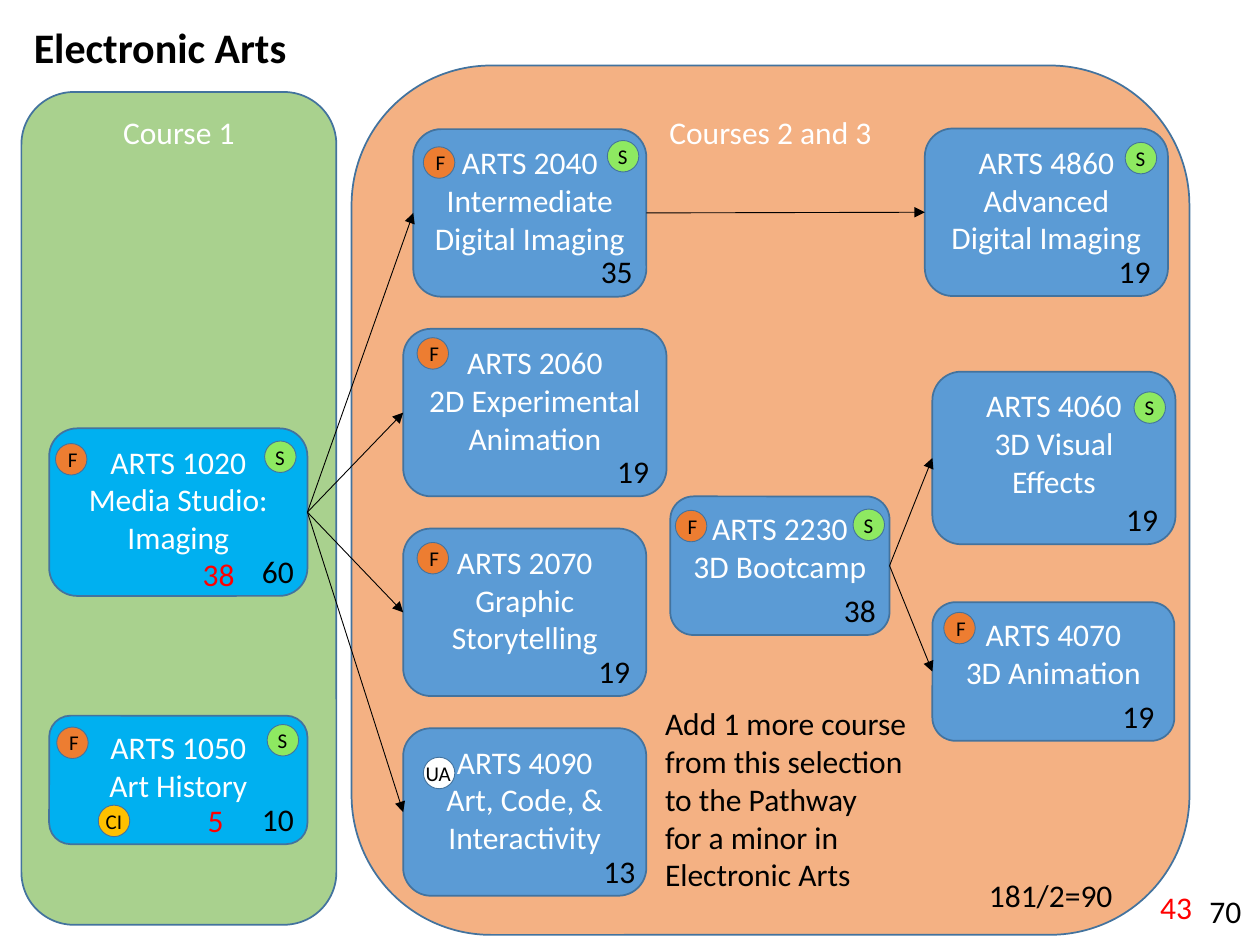
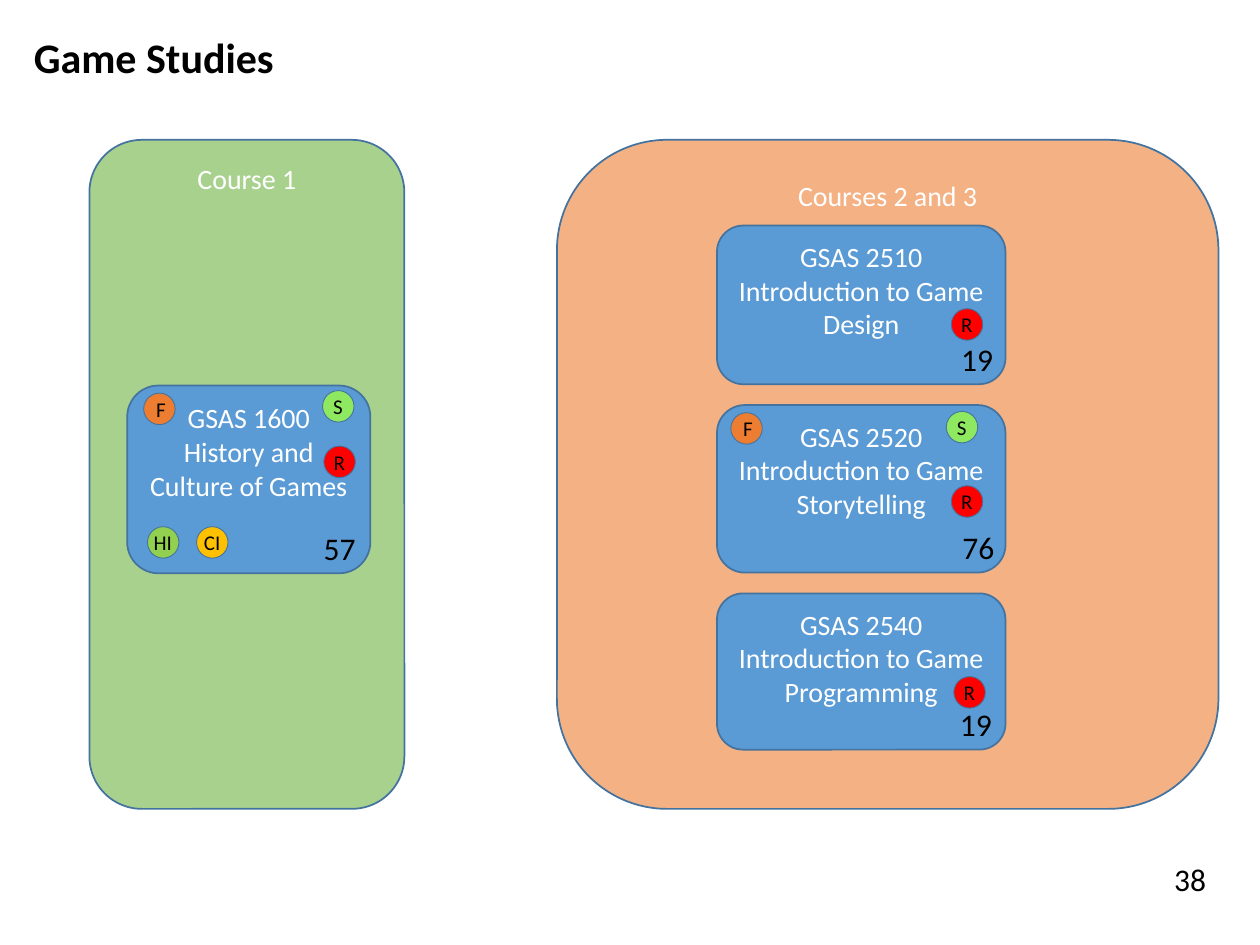
from itertools import accumulate

from lxml import etree
from pptx import Presentation
from pptx.dml.color import RGBColor
from pptx.enum.shapes import MSO_CONNECTOR, MSO_SHAPE
from pptx.enum.text import MSO_ANCHOR, MSO_AUTO_SIZE, PP_ALIGN
from pptx.oxml.ns import qn
from pptx.util import Inches, Pt

ROUNDED, OVAL = MSO_SHAPE.ROUNDED_RECTANGLE, MSO_SHAPE.OVAL
STRAIGHT = MSO_CONNECTOR.STRAIGHT
LEFT, CENTER = PP_ALIGN.LEFT, PP_ALIGN.CENTER
TOP = MSO_ANCHOR.TOP
FIT, FIXED = MSO_AUTO_SIZE.SHAPE_TO_FIT_TEXT, MSO_AUTO_SIZE.NONE
LEFT_SIDE, RIGHT_SIDE = 1, 3

FONT = "Calibri"
COLORS = {
    "first": "A9D18E", "later": "F4B183", "course": "5B9BD5", "required": "00B0F0",
    "outline": "43739E", "white": "FFFFFF", "black": "000000", "red": "FF0000",
    "F": "ED7D31", "S": "8EE961", "CI": "FFC000", "HI": "92D050", "R": "FF0000", "UA": "FFFFFF",
}

SLIDE_WIDTH, SLIDE_HEIGHT = Inches(10), Inches(7.5)
COLUMNS = 100
CELL = SLIDE_WIDTH / COLUMNS
BADGE_SIZE = 2.5
LABEL_HEIGHT = 3
LABEL_WIDTHS = {"F": 2.8, "S": 2.8, "CI": 3.3, "HI": 3.5, "R": 2.9, "UA": 4.1}
LABEL_SHIFTS = {"F": 0.15}
COUNT_WIDTH, COUNT_HEIGHT = 4.6, 4

ARTS_ROWS = [10.25 + 15.85 * row for row in range(4)]
GAME_HEIGHTS = [12.6, 13.3, 12.4]
GAME_GAP = 1.65
GAME_ROWS = list(accumulate((height + GAME_GAP for height in GAME_HEIGHTS[:-1]), initial=17.9))

PATHWAYS = [
    {
        "title": ("Electronic Arts", (1.7, 1.2, 22.3, 5)),
        "text_size": 18,
        "panels": [
            ("Courses 2 and 3", "later", (27.9, 5.2, 66.5, 69)),
            ("Course 1", "first", (1.7, 7.3, 25, 66.1)),
        ],
        "courses": [
            ("ARTS 2060", "2D Experimental Animation", "course", (32, ARTS_ROWS[1], 20.9, 13.3),
             "19", -0.3, [("F", 1.1, 0.7)]),
            ("ARTS 2070", "Graphic Storytelling", "course", (32, ARTS_ROWS[2], 19.3, 13.3),
             "19", -0.2, [("F", 1.1, 1.1)]),
            ("ARTS 4060", "3D Visual Effects", "course", (74, 29.5, 19.3, 13.7),
             "19", -0.3, [("S", 16, 1.6)]),
            ("ARTS 2230", "3D Bootcamp", "course", (53.2, 39.4, 17.4, 11),
             "38", 0, [("F", 0.4, 1.1), ("S", 14.5, 1)]),
            ("ARTS 4070", "3D Animation", "course", (74, 47.8, 19.2, 11),
             "19", -0.5, [("F", 0.9, 0.8)]),
            ("ARTS 4860", "Advanced Digital Imaging", "course", (73.4, 10.2, 19.3, 13.3),
             "19", -0.3, [("S", 15.9, 1.1)]),
            ("ARTS 4090", "Art, Code, & Interactivity", "course", (32, ARTS_ROWS[3], 19.3, 13.3),
             "13", 0.2, [("UA", 1.6, 2.3)]),
            ("ARTS 2040", "Intermediate Digital Imaging", "course", (32.8, ARTS_ROWS[0], 18.5, 13.3),
             "35", 0, [("F", 0.8, 1.4), ("S", 15.4, 0.9)]),
            ("ARTS 1020", "Media Studio: Imaging", "required", (3.9, 34, 20.5, 13.3),
             "60", 0, [("F", 0.5, 1.2), ("S", 17.1, 1)]),
            ("ARTS 1050", "Art History", "required", (3.9, 56.8, 20.5, 10.2),
             "10", 0, [("F", 0.6, 0.9), ("S", 17.3, 0.7), ("CI", 3.9, 7.1)]),
        ],
        "links": [
            ("ARTS 1020", "ARTS 2040"), ("ARTS 1020", "ARTS 2060"),
            ("ARTS 1020", "ARTS 2070"), ("ARTS 1020", "ARTS 4090"),
            ("ARTS 2040", "ARTS 4860"),
            ("ARTS 2230", "ARTS 4060"), ("ARTS 2230", "ARTS 4070"),
        ],
        "notes": [
            (["Add 1 more course", "from this selection", "to the Pathway",
              "for a minor in", "Electronic Arts"], "black", (51.8, 55.4, 21.7, 16.2)),
            (["181/2=90"], "black", (77.5, 69, 11.9, 4)),
            (["70"], "black", (95, 70.3, 4.6, 4)),
            (["43"], "red", (91.1, 70, 4.5, 4)),
            (["38"], "red", (15.1, 43.6, 4.5, 4)),
            (["5"], "red", (15.5, 63.1, 3.3, 4)),
        ],
    },
    {
        "title": ("Game Studies", (1.7, 2, 21.1, 5)),
        "text_size": 16,
        "panels": [
            ("Courses 2 and 3", "later", (44.2, 11.1, 52.5, 53.1)),
            ("Course 1", "first", (7.1, 11.1, 25, 53.1)),
        ],
        "courses": [
            ("GSAS 1600", "History and Culture of Games", "course", (10.1, 30.6, 19.3, 14.9),
             "57", -0.1, [("HI", 1.6, 11.2), ("CI", 5.5, 11.2), ("R", 15.6, 4.8),
                          ("F", 1.3, 0.6), ("S", 15.5, 0.4)]),
            ("GSAS 2510", "Introduction to Game Design", "course",
             (56.9, GAME_ROWS[0], 22.9, GAME_HEIGHTS[0]), "19", 0.1, [("R", 18.6, 6.6)]),
            ("GSAS 2520", "Introduction to Game Storytelling", "course",
             (56.9, GAME_ROWS[1], 22.9, GAME_HEIGHTS[1]), "76", 0.2,
             [("R", 18.6, 6.4), ("F", 1.1, 0.6), ("S", 18.2, 0.5)]),
            ("GSAS 2540", "Introduction to Game Programming", "course",
             (56.9, GAME_ROWS[2], 22.9, GAME_HEIGHTS[2]), "19", 0, [("R", 18.8, 6.6)]),
        ],
        "links": [],
        "notes": [(["38"], "black", (92.2, 67.8, 4.6, 4))],
    },
]


def cells(*lengths):
    return [round(length * CELL) for length in lengths]


def rgb(name):
    return RGBColor.from_string(COLORS[name])


def write(frame, lines, size, color, align=LEFT, bold=False):
    frame.vertical_anchor = TOP
    for index, line in enumerate(lines):
        paragraph = frame.paragraphs[0] if index == 0 else frame.add_paragraph()
        paragraph.alignment = align
        run = paragraph.add_run()
        run.text = line
        run.font.name = FONT
        run.font.size = Pt(size)
        run.font.bold = bold
        run.font.color.rgb = rgb(color)


def add_label(shapes, lines, box, size=18, color="black", bold=False):
    frame = shapes.add_textbox(*cells(*box)).text_frame
    frame.word_wrap = False
    frame.auto_size = FIT
    write(frame, lines, size, color, bold=bold)


def add_block(shapes, preset, box, fill, line_width):
    block = shapes.add_shape(preset, *cells(*box))
    block.shadow.inherit = False
    block.fill.solid()
    block.fill.fore_color.rgb = rgb(fill)
    block.line.color.rgb = rgb("outline")
    block.line.width = Pt(line_width)
    return block


def add_titled_block(shapes, lines, fill, box, size):
    block = add_block(shapes, ROUNDED, box, fill, 1)
    block.text_frame.word_wrap = True
    block.text_frame.auto_size = FIXED
    write(block.text_frame, lines, size, "white", CENTER)
    return block


def add_badge(shapes, term, left, top):
    badge = shapes.add_group_shape().shapes
    add_block(badge, OVAL, (left, top, BADGE_SIZE, BADGE_SIZE), term, 0.5)
    width = LABEL_WIDTHS[term]
    label_left = left + (BADGE_SIZE - width) / 2 + LABEL_SHIFTS.get(term, 0)
    label_top = top + (BADGE_SIZE - LABEL_HEIGHT) / 2
    add_label(badge, [term], (label_left, label_top, width, LABEL_HEIGHT), 12)


def add_link(shapes, start, end):
    link = shapes.add_connector(STRAIGHT, 0, 0, 0, 0)
    link.begin_connect(start, RIGHT_SIDE)
    link.end_connect(end, LEFT_SIDE)
    link.line.color.rgb = rgb("black")
    link.line.width = Pt(0.5)
    etree.SubElement(link.line._get_or_add_ln(), qn("a:tailEnd"), type="triangle")
    etree.SubElement(link._element.spPr, qn("a:effectLst"))


def add_pathway(deck, pathway):
    shapes = deck.slides.add_slide(deck.slide_layouts[6]).shapes
    size = pathway["text_size"]
    for heading, fill, box in pathway["panels"]:
        add_titled_block(shapes, [heading], fill, box, size)

    title, title_box = pathway["title"]
    add_label(shapes, [title], title_box, 24, bold=True)

    cards = {}
    for code, name, fill, box, *_ in pathway["courses"]:
        cards[code] = add_titled_block(shapes, [code, name], fill, box, size)
    for start, end in pathway["links"]:
        add_link(shapes, cards[start], cards[end])

    for _, _, _, (left, top, width, height), count, shift, badges in pathway["courses"]:
        count_left = left + width - COUNT_WIDTH + shift
        count_top = top + height - COUNT_HEIGHT
        add_label(shapes, [count], (count_left, count_top, COUNT_WIDTH, COUNT_HEIGHT))
        for term, across, down in badges:
            add_badge(shapes, term, left + across, top + down)

    for lines, color, box in pathway["notes"]:
        add_label(shapes, lines, box, color=color)


def main():
    deck = Presentation()
    deck.slide_width, deck.slide_height = SLIDE_WIDTH, SLIDE_HEIGHT
    for pathway in PATHWAYS:
        add_pathway(deck, pathway)
    deck.save("out.pptx")


if __name__ == "__main__":
    main()
